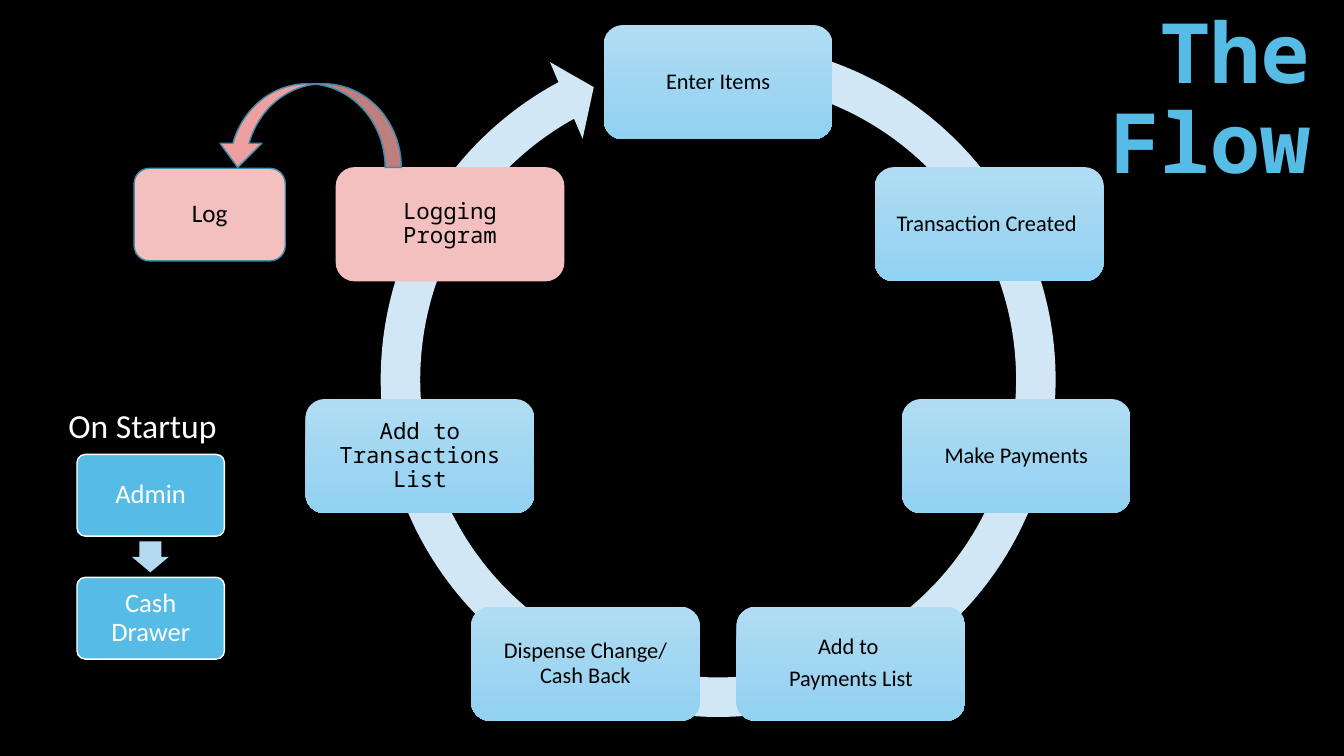
from dataclasses import dataclass
from math import cos, pi, sin

from pptx import Presentation
from pptx.dml.color import RGBColor
from pptx.enum import shapes, text
from pptx.util import Pt

BLACK = RGBColor(0x00, 0x00, 0x00)
WHITE = RGBColor(0xFF, 0xFF, 0xFF)
BLUE = RGBColor(0x57, 0xBC, 0xE5)
DARK_BLUE = RGBColor(0x40, 0x8B, 0xA9)
RING_BLUE = RGBColor(0xD1, 0xE7, 0xF5)
ARROW_BLUE = RGBColor(0xB4, 0xDA, 0xF0)
STEP_TOP = RGBColor(0xB1, 0xDC, 0xF3)
STEP_BOTTOM = RGBColor(0x91, 0xD1, 0xF1)
PINK = RGBColor(0xF4, 0xBF, 0xBF)
DARK_PINK = RGBColor(0xEE, 0x9F, 0x9F)

SANS = "Calibri"
MONO = "Noto Sans Mono"
KIND = shapes.MSO_SHAPE

# Cycle geometry, in points
CENTER_X, CENTER_Y, RADIUS = 513, 277.2, 218.5
STEP_WIDTH, STEP_HEIGHT = 163.4, 81.6


@dataclass
class Step:
    label: str
    font: str = SANS
    fill: RGBColor | None = None  # None gives the blue gradient
    shift_x: float = 0
    shift_y: float = 0


@dataclass
class Block:
    kind: KIND
    left: float
    top: float
    width: float
    height: float
    fill: RGBColor | None
    line: RGBColor | None = None
    adjustments: tuple[float, ...] = ()
    rotation: float = 0


STEPS = [
    Step("Enter Items"),
    Step("Transaction Created ", shift_x=22.8, shift_y=19.2),
    Step("Make Payments"),
    Step("Add to \nPayments List"),
    Step("Dispense Change/ Cash Back"),
    Step("Add to Transactions List", MONO),
    Step("Logging Program", MONO, PINK, -20.7, 19.2),
]


def draw_block(page, block: Block):
    box = page.shapes.add_shape(block.kind, Pt(block.left), Pt(block.top),
                                Pt(block.width), Pt(block.height))
    box.shadow.inherit = False
    box.rotation = block.rotation
    for index, value in enumerate(block.adjustments):
        box.adjustments[index] = value
    if block.fill is None:
        box.fill.gradient()
        box.fill.gradient_angle = 270
        for stop, color in zip(box.fill.gradient_stops, (STEP_TOP, STEP_BOTTOM)):
            stop.color.rgb = color
    else:
        box.fill.solid()
        box.fill.fore_color.rgb = block.fill
    if block.line is None:
        box.line.fill.background()
    else:
        box.line.color.rgb = block.line
        box.line.width = Pt(1)
    return box


def write(box, label: str, size: float, color: RGBColor, font: str = SANS,
          align=text.PP_ALIGN.CENTER, inset: float | None = None,
          space_after: float = 0, bold: bool = False) -> None:
    frame = box.text_frame
    frame.word_wrap = True
    frame.text = label
    if inset is not None:
        frame.margin_left = frame.margin_right = Pt(inset)
        frame.margin_top = frame.margin_bottom = Pt(inset)
    for para in frame.paragraphs:
        para.alignment = align
        para.line_spacing = 0.9
        para.space_before = Pt(0)
        para.space_after = Pt(space_after)
        para.font.name = font
        para.font.size = Pt(size)
        para.font.bold = bold
        para.font.color.rgb = color


def draw_title(page) -> None:
    title = page.shapes.title
    title.left, title.top = Pt(778.3), Pt(62.6)
    title.width, title.height = Pt(164.9), Pt(77.8)
    write(title, "The Flow", 59.4, BLUE, MONO, text.PP_ALIGN.RIGHT, bold=True)
    title.text_frame.vertical_anchor = text.MSO_ANCHOR.BOTTOM
    title.text_frame.auto_size = text.MSO_AUTO_SIZE.NONE


def draw_cycle(page) -> None:
    draw_block(page, Block(KIND.CIRCULAR_ARROW, 256.3, 14.4, 513.4, 513.4, RING_BLUE,
                           adjustments=(0.055, 3.307, 144.864, 169.671, 0.058)))
    for index, step in enumerate(STEPS):
        angle = 2 * pi * index / len(STEPS)
        left = CENTER_X + RADIUS * sin(angle) + step.shift_x - STEP_WIDTH / 2
        top = CENTER_Y - RADIUS * cos(angle) + step.shift_y - STEP_HEIGHT / 2
        box = draw_block(page, Block(KIND.ROUNDED_RECTANGLE, left, top,
                                     STEP_WIDTH, STEP_HEIGHT, step.fill))
        write(box, step.label, 16, BLACK, step.font, inset=9, space_after=5.6)


def draw_startup(page) -> None:
    for index, label in enumerate(("Admin", "Cash Drawer")):
        box = draw_block(page, Block(KIND.ROUNDED_RECTANGLE, 55, 324.6 + 87.8 * index,
                                     105.3, 58.4, BLUE, WHITE, (0.1,)))
        write(box, label, 19, WHITE, inset=7.5)
    draw_block(page, Block(KIND.DOWN_ARROW, 94.2, 386.8, 26.4, 22, ARROW_BLUE,
                           adjustments=(0.6, 0.5)))
    heading = page.shapes.add_textbox(Pt(41.8), Pt(288.7), Pt(131.8), Pt(33.1))
    write(heading, "On Startup", 24, WHITE, align=text.PP_ALIGN.LEFT)


def draw_log(page) -> None:
    draw_block(page, Block(KIND.CURVED_RIGHT_ARROW, 190.8, 23.8, 59.8, 131.8, DARK_PINK,
                           DARK_BLUE, (0.192, 0.5, 0.288), 90))
    box = draw_block(page, Block(KIND.ROUNDED_RECTANGLE, 95.8, 120.2, 108, 66.2,
                                 PINK, DARK_BLUE))
    write(box, "Log", 18, BLACK)


def main() -> None:
    deck = Presentation()
    deck.slide_width, deck.slide_height = Pt(960), Pt(540)
    page = deck.slides.add_slide(deck.slide_layouts[5])
    page.background.fill.solid()
    page.background.fill.fore_color.rgb = BLACK

    draw_title(page)
    draw_cycle(page)
    draw_startup(page)
    draw_log(page)
    deck.save("out.pptx")


if __name__ == "__main__":
    main()
